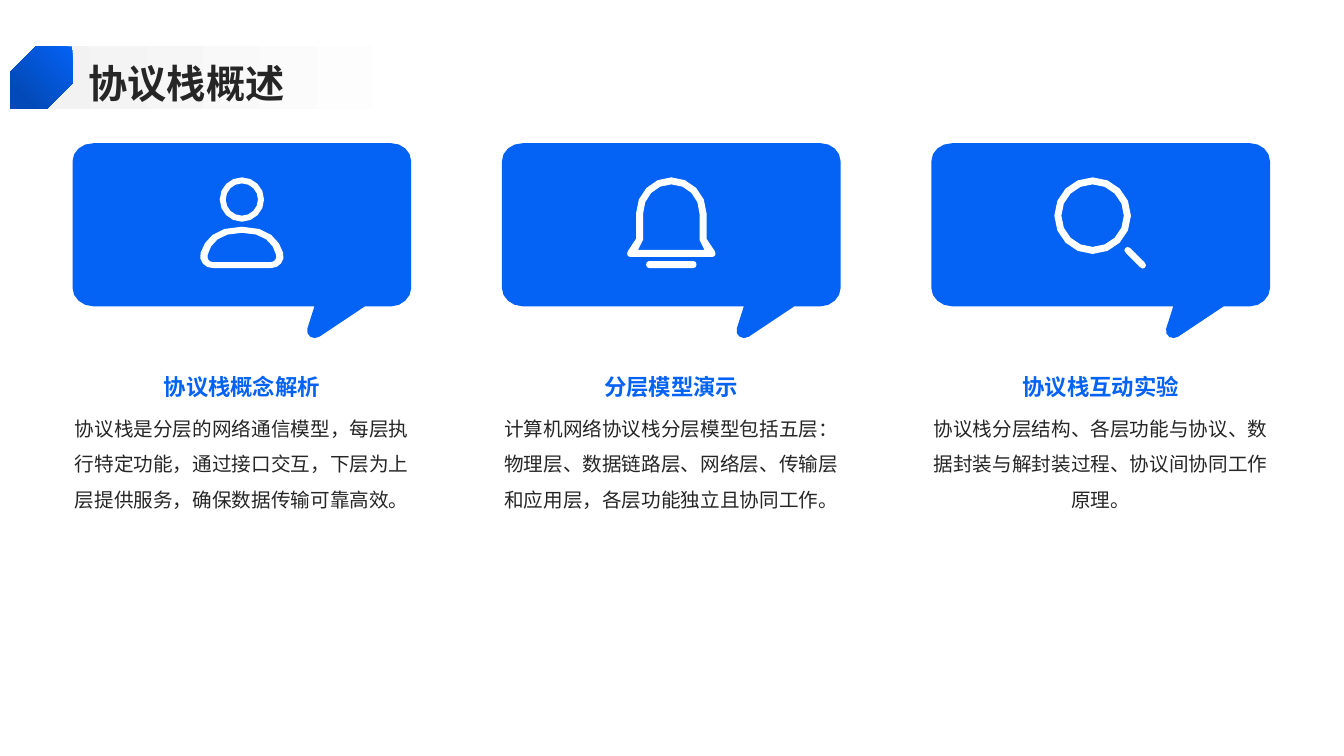
import pptx
import pptx.util
from pptx.dml.color import RGBColor
from pptx.enum.shapes import MSO_SHAPE
from pptx.enum.text import MSO_ANCHOR, PP_ALIGN
from pptx.util import Inches

BLUE = RGBColor(0x04, 0x62, 0xF5)
NAVY = RGBColor(0x03, 0x4A, 0xB8)
INK = RGBColor(0x26, 0x26, 0x26)
PALE = RGBColor(0xF2, 0xF2, 0xF2)
WHITE = RGBColor(0xFF, 0xFF, 0xFF)
FONT = "Noto Sans CJK SC"

# Content
TITLE = "协议栈概述"
CARDS = [
    ("person", "协议栈概念解析",
     "协议栈是分层的网络通信模型，每层执行特定功能，通过接口交互，下层为上层提供服务，确保数据传输可靠高效。"),
    ("bell", "分层模型演示",
     "计算机网络协议栈分层模型包括五层：物理层、数据链路层、网络层、传输层和应用层，各层功能独立且协同工作。"),
    ("magnifier", "协议栈互动实验",
     "协议栈分层结构、各层功能与协议、数据封装与解封装过程、协议间协同工作原理。"),
]
LEFT, PITCH, CARD_W = 0.72, 4.26, 3.36
MIDDLE = CARD_W / 2
CURVE_STEPS = 4


# Outlines: a pair is a corner, six numbers are a cubic curve; x runs from the card's left
def outline(*steps):
    points = [steps[0]]
    for step in steps[1:]:
        if len(step) == 2:
            points.append(step)
            continue
        x0, y0 = points[-1]
        x1, y1, x2, y2, x3, y3 = step
        for i in range(1, CURVE_STEPS + 1):
            t = i / CURVE_STEPS
            a, b, c, d = (1 - t) ** 3, 3 * t * (1 - t) ** 2, 3 * t * t * (1 - t), t ** 3
            points.append((a * x0 + b * x1 + c * x2 + d * x3,
                           a * y0 + b * y1 + c * y2 + d * y3))
    return points


def mirrored(*steps, axis=MIDDLE):
    half = outline(*steps)
    return half + [(2 * axis - x, y) for x, y in reversed(half) if x != axis]


def circle(cx, cy, radius):
    k = 0.55 * radius
    return mirrored((cx, cy - radius),
                    (cx - k, cy - radius, cx - radius, cy - k, cx - radius, cy),
                    (cx - radius, cy + k, cx - k, cy + radius, cx, cy + radius), axis=cx)


BUBBLE = [outline(
    (3.16, 1.42), (0.21, 1.42), (0.09, 1.42, 0, 1.5, 0, 1.6),
    (0, 2.86), (0, 2.95, 0.09, 3.04, 0.21, 3.04),
    (2.4, 3.04), (2.33, 3.26), (2.31, 3.33, 2.39, 3.38, 2.45, 3.34), (2.9, 3.04),
    (3.16, 3.04), (3.27, 3.04, 3.36, 2.95, 3.36, 2.86),
    (3.36, 1.6), (3.36, 1.5, 3.27, 1.42, 3.16, 1.42))]
ICONS = {
    "person": [
        circle(MIDDLE, 1.98, 0.22), circle(MIDDLE, 1.98, 0.16),
        mirrored((MIDDLE, 2.25), (1.41, 2.25, 1.31, 2.38, 1.27, 2.51),
                 (1.25, 2.59, 1.31, 2.66, 1.39, 2.66)),
        mirrored((MIDDLE, 2.31), (1.46, 2.31, 1.37, 2.41, 1.34, 2.53),
                 (1.33, 2.57, 1.36, 2.6, 1.39, 2.6)),
    ],
    "bell": [
        mirrored((MIDDLE, 1.76), (1.49, 1.76, 1.33, 1.92, 1.33, 2.12), (1.33, 2.37),
                 (1.25, 2.49), (1.23, 2.53, 1.25, 2.55, 1.28, 2.55)),
        mirrored((MIDDLE, 1.83), (1.52, 1.83, 1.4, 1.96, 1.4, 2.12), (1.4, 2.38),
                 (1.35, 2.48)),
        mirrored((1.46, 2.59), (1.42, 2.59, 1.42, 2.66, 1.46, 2.66)),
    ],
    "magnifier": [
        circle(1.6, 2.14, 0.38), circle(1.6, 2.14, 0.31),
        outline((1.93, 2.51), (1.89, 2.48, 1.94, 2.43, 1.97, 2.46), (2.12, 2.61),
                (2.15, 2.64, 2.1, 2.69, 2.07, 2.65)),
    ],
}

prs = pptx.Presentation()
prs.slide_width, prs.slide_height = Inches(40 / 3), Inches(7.5)
s = prs.slides.add_slide(prs.slide_layouts[6])


def add_outlines(contours, left, color):
    builder = None
    for contour in contours:
        points = [(Inches(left + x), Inches(y)) for x, y in contour]
        if builder is None:
            builder = s.shapes.build_freeform(*points[0])
        else:
            builder.move_to(*points[0])
        builder.add_line_segments(points[1:], close=True)
    sp = builder.convert_to_shape()
    sp.shadow.inherit = False
    sp.fill.solid()
    sp.fill.fore_color.rgb = color
    sp.line.fill.background()


def add_gradient(shape, box, colors, angle):
    sp = s.shapes.add_shape(shape, *map(Inches, box))
    sp.shadow.inherit = False
    sp.line.fill.background()
    sp.fill.gradient()
    sp.fill.gradient_angle = angle
    for stop, color, position in zip(sp.fill.gradient_stops, colors, (0, 0.8)):
        stop.color.rgb = color
        stop.position = position
    return sp


def add_text(text, box, size, color, spacing, anchor, align, bold=False):
    tf = s.shapes.add_textbox(*map(Inches, box)).text_frame
    tf.word_wrap = True
    tf.vertical_anchor = anchor
    tf.margin_left = tf.margin_top = tf.margin_right = tf.margin_bottom = 0
    p = tf.paragraphs[0]
    r = p.add_run()
    r.text = text
    p.alignment, p.line_spacing = align, spacing
    p.font.name, p.font.size, p.font.bold = FONT, pptx.util.Pt(size), bold
    p.font.color.rgb = color


# Cards
for i, (icon, heading, body) in enumerate(CARDS):
    left = LEFT + i * PITCH
    add_outlines(BUBBLE, left, BLUE)
    add_outlines(ICONS[icon], left, WHITE)
    add_text(body, (left, 4.02, CARD_W, 2.75), 14, INK, 1.5,
             MSO_ANCHOR.TOP, PP_ALIGN.CENTER)
    add_text(heading, (left, 3.49, CARD_W, 0.48), 16, BLUE, 1.3,
             MSO_ANCHOR.BOTTOM, PP_ALIGN.CENTER, bold=True)

# Title band
add_gradient(MSO_SHAPE.RECTANGLE, (0.33, 0.46, 4.92, 0.62), (PALE, WHITE), 0)
add_text(TITLE, (0.88, 0.54, 11.88, 0.51), 28, INK, 1.1,
         MSO_ANCHOR.MIDDLE, PP_ALIGN.LEFT, bold=True)
badge = add_gradient(MSO_SHAPE.SNIP_2_DIAG_RECTANGLE, (0.1, 0.46, 0.62, 0.62),
                     (BLUE, NAVY), 225)
badge.adjustments[0], badge.adjustments[1] = 0.41, 0

prs.save("out.pptx")
